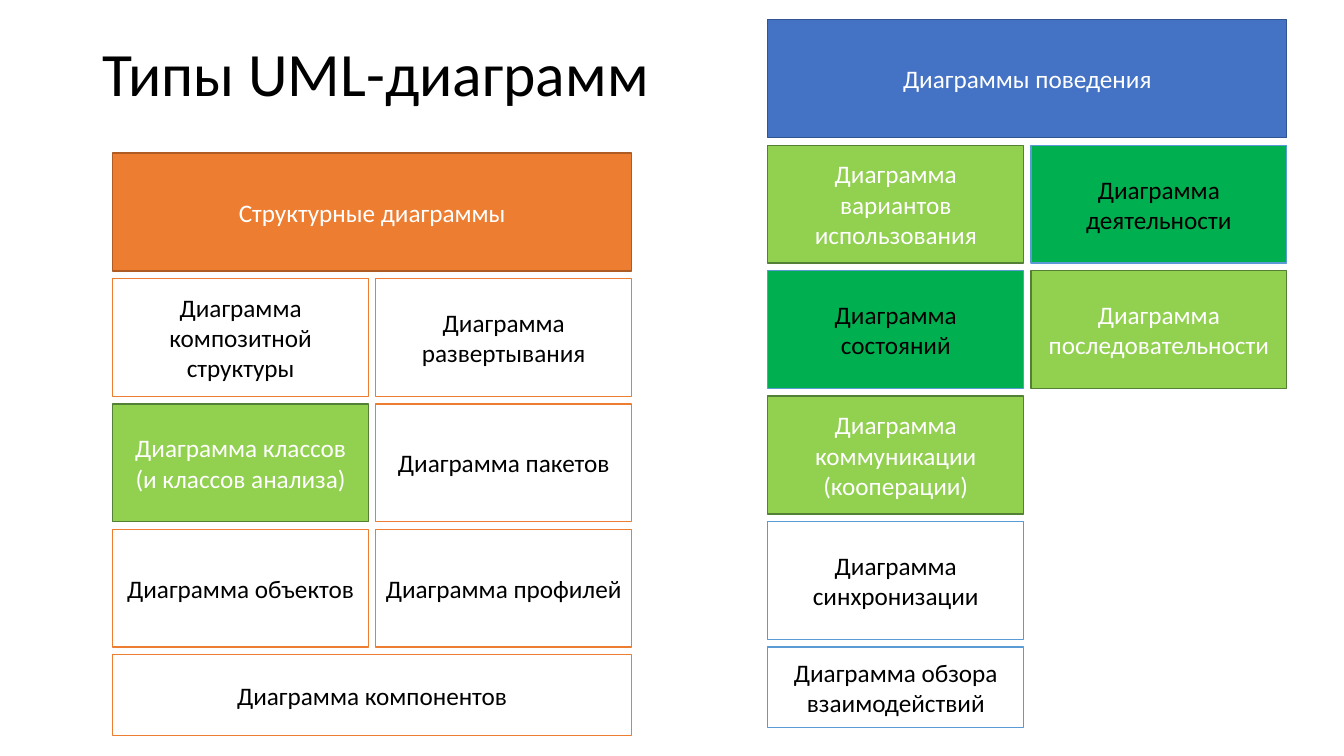
from pptx import Presentation
from pptx.dml.color import RGBColor
from pptx.enum.shapes import MSO_SHAPE
from pptx.enum.text import MSO_ANCHOR, PP_ALIGN
from pptx.util import Cm, Pt

RECTANGLE = MSO_SHAPE.RECTANGLE
MIDDLE = MSO_ANCHOR.MIDDLE
LEFT, CENTER = PP_ALIGN.LEFT, PP_ALIGN.CENTER

COLORS = {
    "white": "FFFFFF", "black": "000000",
    "orange": "ED7D31", "dark orange": "AF5C24",
    "blue": "4472C4", "dark blue": "325491", "light blue": "5B9BD5",
    "lime": "92D050", "dark green": "538035", "green": "00B050",
}
# Style: fill, line, text
STYLES = {
    "structure header": ("orange", "dark orange", "white"),
    "structure": ("white", "orange", "black"),
    "behavior header": ("blue", "dark blue", "white"),
    "behavior": ("white", "light blue", "black"),
    "key": ("lime", "dark green", "white"),
    "extra": ("green", "light blue", "black"),
}

TITLE = "Типы UML-диаграмм"
# Each group: left and top in cm, rows of (text, style), whether a single last box spans both columns
GROUPS = [
    {"left": 2.84, "top": 3.86, "wide_last": True, "rows": [
        [("Структурные диаграммы", "structure header")],
        [("Диаграмма композитной структуры", "structure"),
         ("Диаграмма развертывания", "structure")],
        [("Диаграмма классов (и классов анализа)", "key"),
         ("Диаграмма пакетов", "structure")],
        [("Диаграмма объектов", "structure"),
         ("Диаграмма профилей", "structure")],
        [("Диаграмма компонентов", "structure")],
    ]},
    {"left": 19.35, "top": 0.5, "wide_last": False, "rows": [
        [("Диаграммы поведения", "behavior header")],
        [("Диаграмма вариантов использования", "key"),
         ("Диаграмма деятельности", "extra")],
        [("Диаграмма состояний", "extra"),
         ("Диаграмма последовательности", "key")],
        [("Диаграмма коммуникации (кооперации)", "key")],
        [("Диаграмма синхронизации", "behavior")],
        [("Диаграмма обзора взаимодействий", "behavior")],
    ]},
]

BOX_WIDTH, BOX_HEIGHT, LAST_HEIGHT = 6.45, 2.97, 2.03
GAP = 0.18
FULL_WIDTH = 2 * BOX_WIDTH + GAP
ROW_STEP = BOX_HEIGHT + 0.19


def write(shape, text, size=18, color="black", align=CENTER, spacing=1.0):
    frame = shape.text_frame
    frame.word_wrap = True
    frame.vertical_anchor = MIDDLE
    paragraph = frame.paragraphs[0]
    paragraph.alignment = align
    paragraph.line_spacing = spacing
    run = paragraph.add_run()
    run.text = text
    run.font.name = "Calibri"
    run.font.size = Pt(size)
    run.font.color.rgb = RGBColor.from_string(COLORS[color])


def add_box(slide, left, top, width, height, text, style):
    fill, line, text_color = STYLES[style]
    box = slide.shapes.add_shape(RECTANGLE, Cm(left), Cm(top), Cm(width), Cm(height))
    box.shadow.inherit = False
    box.fill.solid()
    box.fill.fore_color.rgb = RGBColor.from_string(COLORS[fill])
    box.line.color.rgb = RGBColor.from_string(COLORS[line])
    box.line.width = Pt(1)
    write(box, text, color=text_color)


def add_group(slide, group):
    last = len(group["rows"]) - 1
    for row, boxes in enumerate(group["rows"]):
        wide = row == 0 or (row == last and group["wide_last"])
        width = FULL_WIDTH if wide else BOX_WIDTH
        height = LAST_HEIGHT if row == last else BOX_HEIGHT
        top = group["top"] + row * ROW_STEP
        for column, (text, style) in enumerate(boxes):
            left = group["left"] + column * (BOX_WIDTH + GAP)
            add_box(slide, left, top, width, height, text, style)


def main():
    presentation = Presentation()
    presentation.slide_width, presentation.slide_height = Cm(33.87), Cm(19.05)
    slide = presentation.slides.add_slide(presentation.slide_layouts[5])
    title = slide.shapes.title
    title.left, title.top, title.width, title.height = Cm(2.33), Cm(0.08), Cm(29.21), Cm(3.68)
    write(title, TITLE, size=44, align=LEFT, spacing=0.9)
    for group in GROUPS:
        add_group(slide, group)
    presentation.save("out.pptx")


if __name__ == "__main__":
    main()
